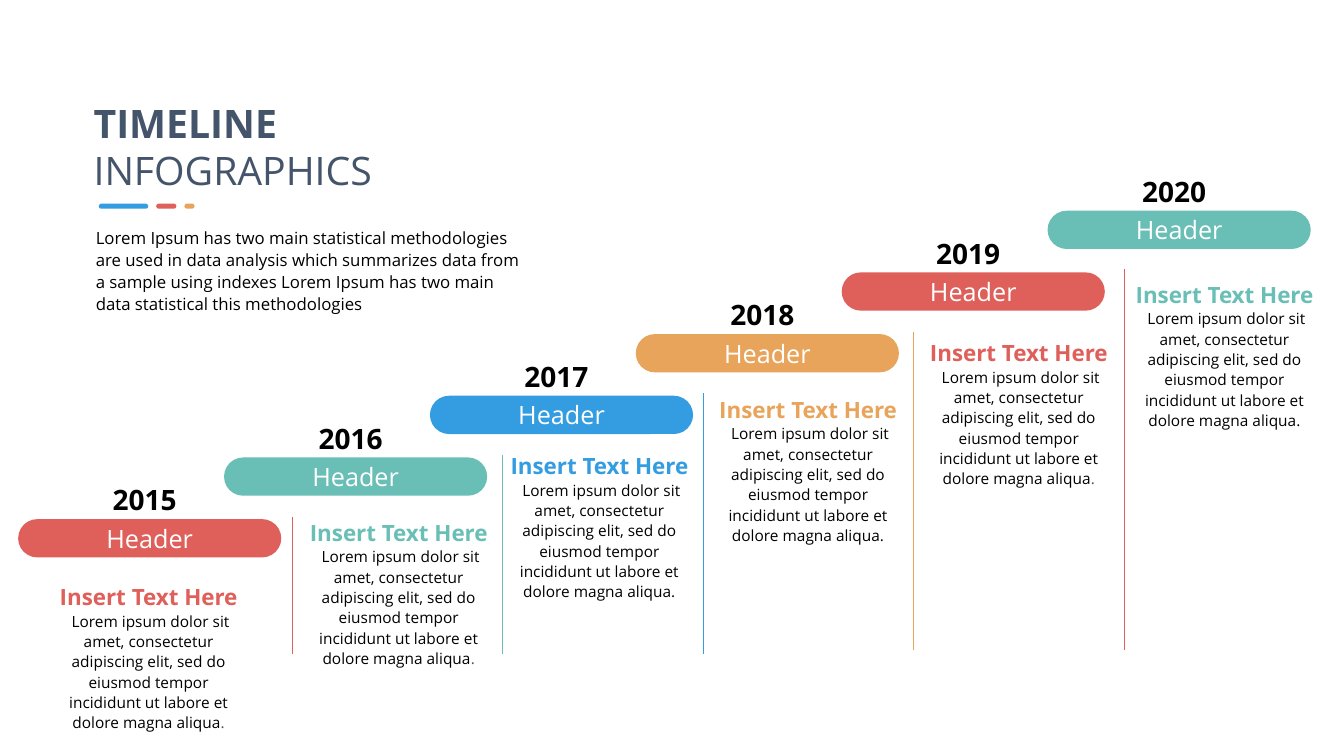
from lxml import etree
from pptx import Presentation
from pptx.dml.color import RGBColor as RGB
from pptx.enum.shapes import MSO_CONNECTOR as CONN, MSO_SHAPE as SHAPE
from pptx.enum.text import MSO_ANCHOR as ANCHOR, MSO_AUTO_SIZE as FIT, PP_ALIGN as ALIGN
from pptx.oxml.ns import qn
from pptx.util import Inches, Pt

FONT = "Open Sans"
HEX = {"red": "DF5F5A", "teal": "69BEB6", "blue": "349DE1", "gold": "E8A45B",
       "slate": "44546A", "black": "000000", "white": "FFFFFF"}

INTRO = ("Lorem Ipsum has two main statistical methodologies are used in data "
         "analysis which summarizes data from a sample using indexes Lorem Ipsum "
         "has two main data statistical this methodologies")
BODY = (" Lorem ipsum dolor sit amet, consectetur adipiscing elit, sed do eiusmod "
        "tempor incididunt ut labore et dolore magna aliqua")

# Year, colour, note left, top and width, colour of the note's full stop
STEPS = [
    ("2015", "red", 0.41, 5.70, 2.13, "slate"),
    ("2016", "teal", 2.93, 5.06, 2.05, "slate"),
    ("2017", "blue", 4.92, 4.40, 2.05, "black"),
    ("2018", "gold", 6.99, 3.84, 2.05, "black"),
    ("2019", "red", 9.08, 3.28, 2.05, "slate"),
    ("2020", "teal", 11.12, 2.70, 2.05, "black"),
]
# Divider x, top, bottom, colour
RULES = [
    (2.90, 5.13, 6.49, "red"),
    (4.98, 4.51, 6.49, "teal"),
    (6.98, 3.90, 6.49, "blue"),
    (9.06, 3.29, 6.45, "gold"),
    (11.15, 2.67, 6.45, "red"),
]
# Accent dash left, width, colour
DASHES = [(0.98, 0.49, "blue"), (1.55, 0.20, "red"), (1.83, 0.10, "gold")]

# The staircase climbs evenly from the first pill to the last
LEFT, TOP = 0.18, 5.15
RUN, RISE = (10.39 - LEFT) / 5, (TOP - 2.09) / 5


def color(name):
    return RGB.from_string(HEX[name])


def add_run(para, text, size, tint, bold=False):
    run = para.add_run()
    run.text = text
    font = run.font
    font.name, font.size, font.bold = FONT, Pt(size), bold
    font.color.rgb = color(tint)


def add_pill(shapes, x, y, w, h, tint):
    pill = shapes.add_shape(SHAPE.ROUNDED_RECTANGLE,
                            Inches(x), Inches(y), Inches(w), Inches(h))
    pill.adjustments[0] = 0.5
    pill.shadow.inherit = False
    pill.fill.solid()
    pill.fill.fore_color.rgb = color(tint)
    pill.line.fill.background()
    return pill


def add_box(shapes, x, y, w, h, pad_x, pad_y, wrap=True):
    box = shapes.add_textbox(Inches(x), Inches(y), Inches(w), Inches(h))
    frame = box.text_frame
    frame.word_wrap = wrap
    frame.auto_size = FIT.SHAPE_TO_FIT_TEXT
    frame.margin_left = frame.margin_right = Inches(pad_x)
    frame.margin_top = frame.margin_bottom = Inches(pad_y)
    return frame


def add_step(shapes, x, y, year, tint):
    frame = add_pill(shapes, x, y, 2.61, 0.38, tint).text_frame
    frame.vertical_anchor = ANCHOR.MIDDLE
    para = frame.paragraphs[0]
    para.alignment = ALIGN.CENTER
    add_run(para, "Header", 18, "white")

    para = add_box(shapes, x + 0.68, y - 0.36, 1.15, 0.34, 0, 0).paragraphs[0]
    para.alignment = ALIGN.CENTER
    add_run(para, year, 20, "black", True)


def add_rule(shapes, x, top, bottom, tint):
    rule = shapes.add_connector(CONN.STRAIGHT, Inches(x), Inches(top),
                                Inches(x), Inches(bottom))
    rule.line.color.rgb = color(tint)
    rule.line.width = Pt(0.5)
    etree.SubElement(rule.element.spPr, qn("a:effectLst"))


def add_note(shapes, x, y, w, tint, stop):
    para = add_box(shapes, x, y, w, 1.64, 0.12, 0.06).paragraphs[0]
    para.alignment = ALIGN.CENTER
    para.line_spacing = 1.1
    add_run(para, "Insert Text Here", 16, tint, True)
    para.add_line_break()
    add_run(para, BODY, 11, "black")
    add_run(para, ".", 11, stop)


def add_title(shapes):
    frame = add_box(shapes, 0.83, 0.94, 2.99, 1.04, 0.1, 0.05, wrap=False)
    add_run(frame.paragraphs[0], "TIMELINE", 28, "slate", True)
    add_run(frame.add_paragraph(), "INFOGRAPHICS", 28, "slate")


def add_intro(shapes):
    para = add_box(shapes, 0.83, 2.18, 4.52, 1.01, 0.12, 0.06).paragraphs[0]
    para.line_spacing = 1.1
    add_run(para, INTRO, 12, "black")


def main():
    deck = Presentation()
    deck.slide_width, deck.slide_height = Inches(13.33), Inches(7.5)
    shapes = deck.slides.add_slide(deck.slide_layouts[6]).shapes

    # Staircase of years
    stairs = shapes.add_group_shape().shapes
    for i, (year, tint, *_) in enumerate(STEPS):
        add_step(stairs, LEFT + i * RUN, TOP - i * RISE, year, tint)

    # Dividers and notes
    for rule in RULES:
        add_rule(shapes, *rule)
    for _, tint, x, y, w, stop in STEPS:
        add_note(shapes, x, y, w, tint, stop)

    # Heading with its accent dashes
    add_intro(shapes)
    add_title(shapes)
    accent = shapes.add_group_shape().shapes
    for x, w, tint in DASHES:
        add_pill(accent, x, 2.02, w, 0.05, tint)

    deck.save("out.pptx")


if __name__ == "__main__":
    main()
